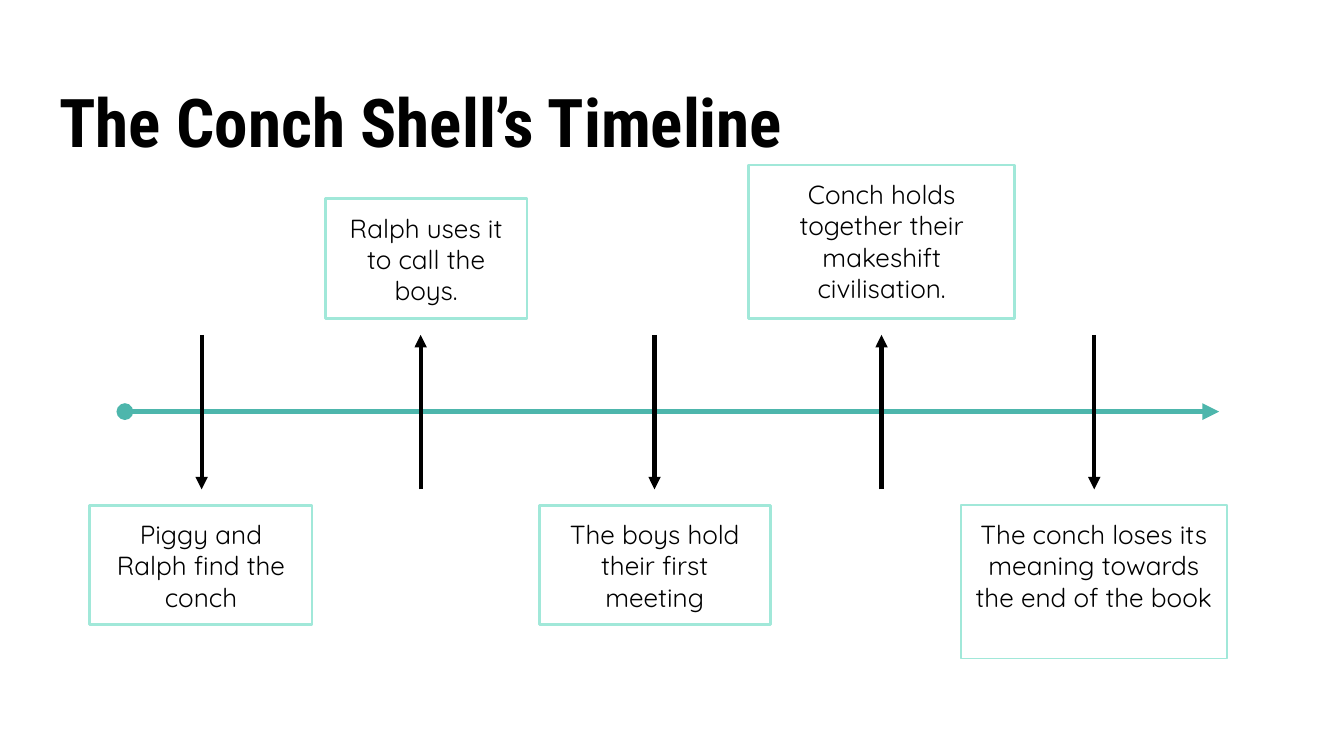
from dataclasses import dataclass

from lxml.etree import SubElement
from pptx import Presentation
from pptx.dml.color import RGBColor as Rgb
from pptx.enum.shapes import MSO_CONNECTOR as Connector, MSO_SHAPE as Preset
from pptx.enum.text import MSO_ANCHOR as Anchor, MSO_AUTO_SIZE as AutoSize, PP_ALIGN as Align
from pptx.oxml.ns import qn
from pptx.slide import Slide
from pptx.text.text import TextFrame
from pptx.util import Cm, Pt


@dataclass(frozen=True)
class Theme:
    ink: Rgb = Rgb(0x00, 0x00, 0x00)
    axis: Rgb = Rgb(0x4D, 0xB6, 0xAC)
    border: Rgb = Rgb(0xA1, 0xE8, 0xD9)
    heading_font: str = "Roboto Condensed"
    event_font: str = "Quicksand"
    heading_size: float = 36
    event_size: float = 14
    axis_width: float = 3
    pointer_width: float = 2.25


@dataclass(frozen=True)
class Event:
    text: str
    pointer_x: float
    left: float
    width: float
    height: float
    above: bool = False
    border_width: float = 1.5


THEME = Theme()
INSET = 0.25
AXIS_Y = 7.78
POINTER_TOP, POINTER_BOTTOM = 6.33, 9.25
UPPER_EDGE, LOWER_EDGE = 6.02, 9.55

EVENTS = (
    Event("Piggy and Ralph find the conch", 3.81, 1.7, 4.2, 2.26),
    Event("Ralph uses it to call the boys.", 7.95, 6.15, 3.81, 2.26, above=True),
    Event("The boys hold their first meeting", 12.37, 10.19, 4.37, 2.26),
    Event("Conch holds together their makeshift civilisation.",
          16.66, 14.15, 5.03, 2.9, above=True),
    Event("The conch loses its meaning towards the end of the book",
          20.68, 18.16, 5.03, 2.9, border_width=0.75),
)


def write(frame: TextFrame, text: str, font: str, size: float,
          align: Align, bold: bool = False) -> None:
    frame.word_wrap = True
    frame.auto_size = AutoSize.NONE
    frame.vertical_anchor = Anchor.TOP
    frame.margin_left = frame.margin_right = Cm(INSET)
    frame.margin_top = frame.margin_bottom = Cm(INSET)
    paragraph = frame.paragraphs[0]
    paragraph.alignment = align
    run = paragraph.add_run()
    run.text = text
    run.font.name = font
    run.font.size = Pt(size)
    run.font.bold = bold
    run.font.color.rgb = THEME.ink


def draw_arrow(slide: Slide, start: tuple[float, float], end: tuple[float, float],
               color: Rgb, width: float, **ends: str) -> None:
    arrow = slide.shapes.add_connector(
        Connector.STRAIGHT, *(Cm(value) for value in (*start, *end)))
    arrow.line.color.rgb = color
    arrow.line.width = Pt(width)
    outline = arrow.line._get_or_add_ln()
    for tag, kind in ends.items():
        SubElement(outline, qn(f"a:{tag}"), type=kind, w="med", len="med")
    SubElement(arrow._element.spPr, qn("a:effectLst"))


def draw_event(slide: Slide, event: Event) -> None:
    top = UPPER_EDGE - event.height if event.above else LOWER_EDGE
    card = slide.shapes.add_shape(
        Preset.RECTANGLE, Cm(event.left), Cm(top), Cm(event.width), Cm(event.height))
    card.shadow.inherit = False
    card.fill.background()
    card.line.color.rgb = THEME.border
    card.line.width = Pt(event.border_width)
    write(card.text_frame, event.text, THEME.event_font, THEME.event_size, Align.CENTER)


def draw_pointer(slide: Slide, event: Event) -> None:
    start, end = (event.pointer_x, POINTER_TOP), (event.pointer_x, POINTER_BOTTOM)
    if event.above:
        start, end = end, start
    draw_arrow(slide, start, end, THEME.ink, THEME.pointer_width, tailEnd="triangle")


def main() -> None:
    deck = Presentation()
    deck.slide_width, deck.slide_height = Cm(25.4), Cm(14.29)
    slide = deck.slides.add_slide(deck.slide_layouts[5])

    heading = slide.shapes.title
    heading.left, heading.top = Cm(0.87), Cm(1.27)
    heading.width, heading.height = Cm(23.67), Cm(1.96)
    write(heading.text_frame, "The Conch Shell’s Timeline", THEME.heading_font,
          THEME.heading_size, Align.LEFT, bold=True)

    draw_arrow(slide, (2.36, AXIS_Y), (23.04, AXIS_Y), THEME.axis, THEME.axis_width,
               headEnd="oval", tailEnd="triangle")
    for event in EVENTS:
        draw_pointer(slide, event)
        draw_event(slide, event)

    deck.save("out.pptx")


if __name__ == "__main__":
    main()
